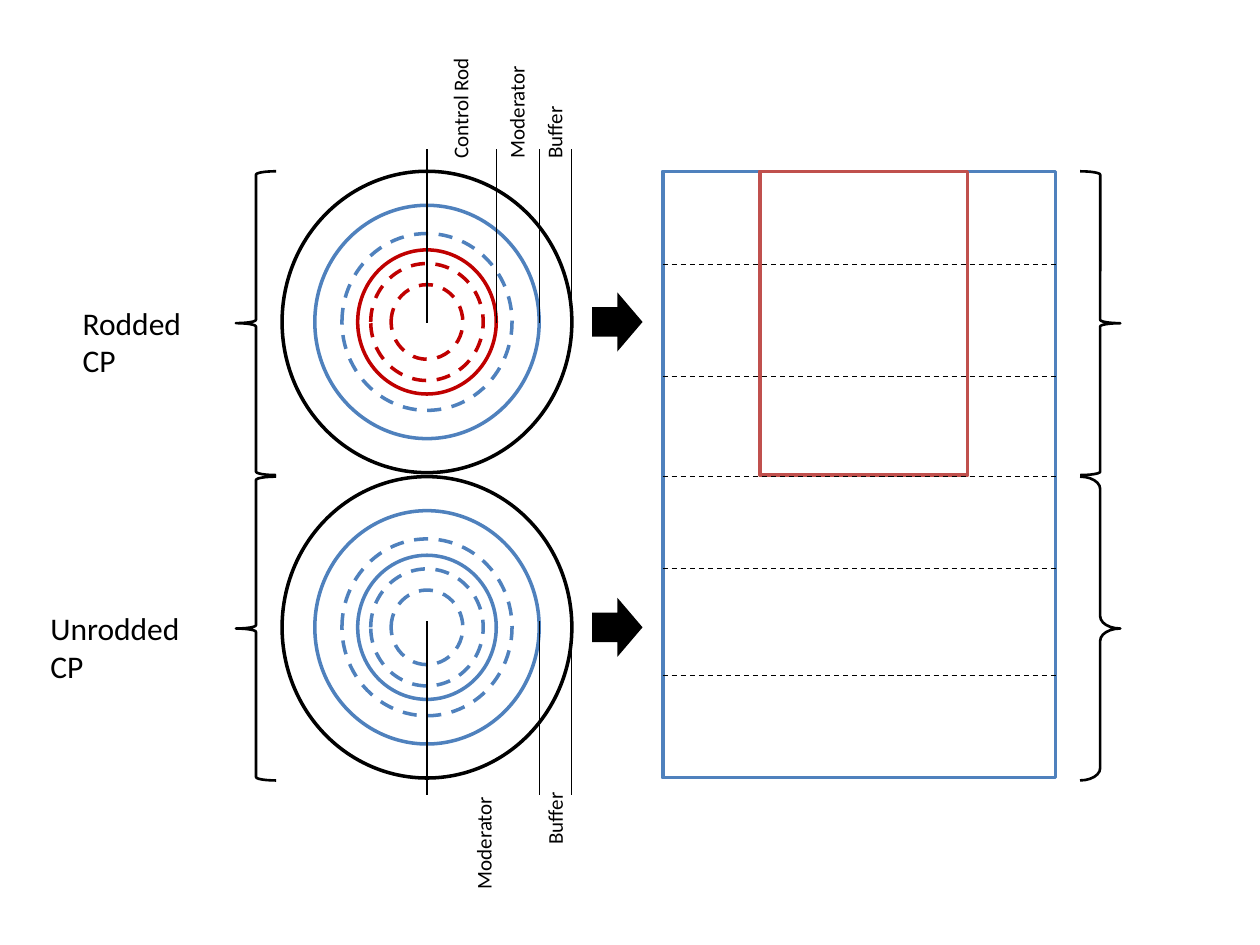
import pptx
import pptx.dml.color
import pptx.enum.dml
import pptx.enum.shapes
import pptx.enum.text
import pptx.oxml
import pptx.util

Pt = pptx.util.Pt
SHAPES = pptx.enum.shapes.MSO_SHAPE
BLACK, BLUE, RED, ROD_RED = "000000", "4F81BD", "C00000", "C0504D"


def color(value):
    return pptx.dml.color.RGBColor.from_string(value)


def write(frame, text, size=18, ink=BLACK, font="Calibri"):
    run = frame.paragraphs[0].add_run()
    run.text = text
    run.font.name = font
    run.font.size = Pt(size)
    run.font.color.rgb = color(ink)


class Diagram:
    def __init__(self, slide):
        self.slide = slide
        self.outline_width = 2
        self.thin_width = 0.75

    def stroke(self, line, ink, width, dashed):
        line.color.rgb = color(ink)
        line.width = Pt(width)
        if dashed:
            line.dash_style = pptx.enum.dml.MSO_LINE.DASH

    def outline(self, kind, left, top, width, height, ink=BLACK,
                weight=None, dashed=False):
        shape = self.slide.shapes.add_shape(
            kind, Pt(left), Pt(top), Pt(width), Pt(height))
        shape.shadow.inherit = False
        shape.fill.background()
        self.stroke(shape.line, ink, weight or self.outline_width, dashed)
        return shape

    def ring(self, x, y, width, ink, dashed):
        height = width * 1.04
        self.outline(SHAPES.OVAL, x - width / 2, y - height / 2,
                     width, height, ink, dashed=dashed)

    def arrow(self, left, y, width=28.8, height=33.8):
        shape = self.outline(SHAPES.RIGHT_ARROW, left, y - height / 2,
                             width, height)
        shape.fill.solid()
        shape.fill.fore_color.rgb = color(BLACK)
        shape.line.fill.background()

    def brace(self, kind, left, top):
        return self.outline(kind, left, top, 23, 173.6, weight=1.5)

    def line(self, x1, y1, x2, y2, dashed=False):
        connector = self.slide.shapes.add_connector(
            pptx.enum.shapes.MSO_CONNECTOR.STRAIGHT,
            Pt(x1), Pt(y1), Pt(x2), Pt(y2))
        self.stroke(connector.line, BLACK, self.thin_width, dashed)
        connector._element.spPr.append(pptx.oxml.parse_xml(
            '<a:effectLst xmlns:a='
            '"http://schemas.openxmlformats.org/drawingml/2006/main"/>'))

    def label(self, text, left, top, width, height, size=18):
        box = self.slide.shapes.add_textbox(
            Pt(left), Pt(top), Pt(width), Pt(height))
        box.text_frame.word_wrap = True
        box.text_frame.auto_size = pptx.enum.text.MSO_AUTO_SIZE.NONE
        write(box.text_frame, text, size=size)
        return box

    def vertical_label(self, text, x, bottom, length, height=22.8):
        box = self.label(text, x - length / 2, bottom - (length + height) / 2,
                         length, height, size=12)
        box.rotation = 270


def main():
    deck = pptx.Presentation()
    deck.slide_width, deck.slide_height = Pt(720), Pt(540)
    diagram = Diagram(deck.slides.add_slide(deck.slide_layouts[6]))

    center_x, rodded_y, pitch = 244, 184, 174.5
    unrodded_y = rodded_y + pitch
    core_left, core_top, core_width = 378.7, 97.9, 224.6

    # Side view: core, inserted rod and axial layers
    diagram.outline(SHAPES.RECTANGLE, core_left, core_top, core_width, 346.5, BLUE)
    diagram.outline(SHAPES.RECTANGLE, 434.2, core_top, 118.8, 173.5, ROD_RED)
    for layer_y in (151.2, 215.1, 272.2, 324.8, 386):
        diagram.line(core_left, layer_y, core_left + core_width, layer_y, dashed=True)

    # Top views: ring width, dashed, whether it belongs to the rod
    rings = [(79.2, False, True), (128.2, False, False), (165.6, False, False),
             (64.3, True, True), (41, True, True), (97.2, True, False)]
    for center_y, rod_ink in ((rodded_y, RED), (unrodded_y, BLUE)):
        for width, dashed, in_rod in rings:
            ink = BLACK if width == 165.6 else rod_ink if in_rod else BLUE
            diagram.ring(center_x, center_y, width, ink, dashed)
        diagram.arrow(338.4, center_y)

    # Braces and names of the two halves
    for top in (core_top, core_top + pitch):
        diagram.brace(SHAPES.LEFT_BRACE, 134.8, top)
        right_brace = diagram.brace(SHAPES.RIGHT_BRACE, 617.2, top)
    right_brace.adjustments[0] = 0.306
    diagram.label("Rodded CP", 40.2, 170, 91.4, 29.1)
    diagram.label("Unrodded CP", 21.7, 344.5, 108.7, 29.1)

    # Region boundaries
    center, rod_edge, moderator_edge, buffer_edge = center_x, 283.7, 308.1, 326.7
    for x in (center, rod_edge, moderator_edge, buffer_edge):
        diagram.line(x, 184.5, x, 85.2)
    for x in (center, moderator_edge, buffer_edge):
        diagram.line(x, 454.2, x, 355)

    # Region names: text, middle, bottom end, length
    for region in (("Moderator", 295.6, 97.6, 75.6),
                   ("Buffer", 317.2, 97.6, 75.6),
                   ("Control Rod", 263.5, 97.9, 92.2),
                   ("Moderator", 276.8, 515.2, 69.8),
                   ("Buffer", 317.5, 489.6, 50.4)):
        diagram.vertical_label(*region)

    deck.save("out.pptx")


if __name__ == "__main__":
    main()
